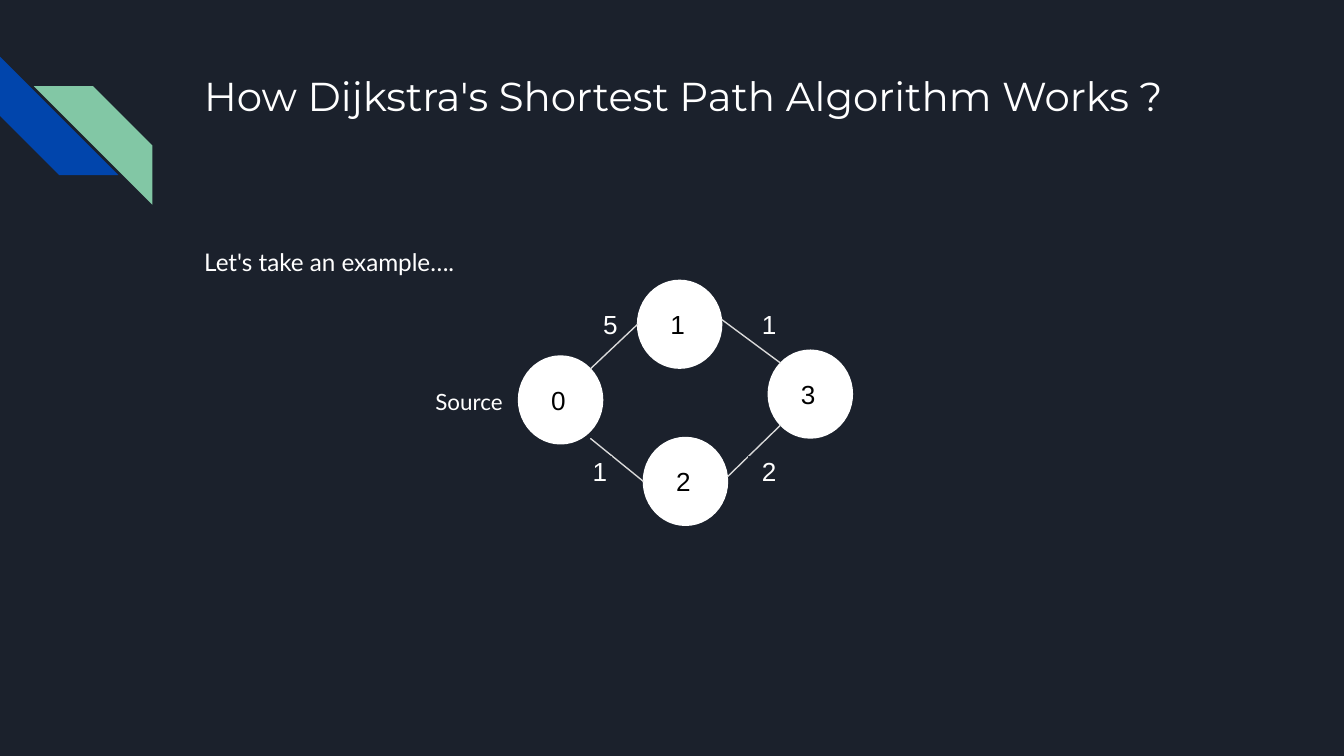
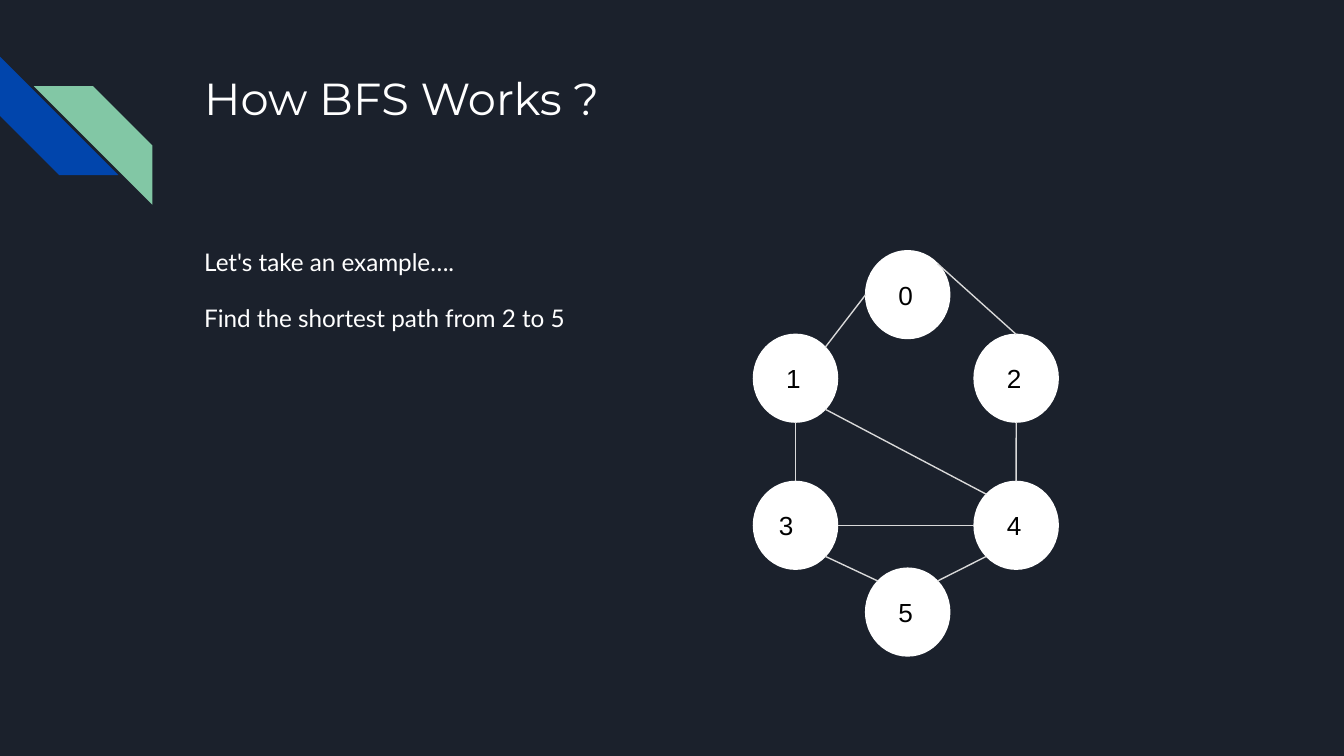
import math

import pptx
import pptx.dml.color
import pptx.enum.shapes
import pptx.enum.text
import pptx.util
from lxml import etree
from pptx.oxml.ns import qn

Cm, Pt = pptx.util.Cm, pptx.util.Pt
SHAPE = pptx.enum.shapes.MSO_SHAPE
ANCHOR = pptx.enum.text.MSO_ANCHOR

COLORS = {
    "night": "1B212C",
    "blue": "0145AC",
    "green": "82C7A5",
    "white": "FFFFFF",
    "black": "000000",
    "edge": "D9D9D9",
}
NODE_W, NODE_H = 1.59, 1.66
INSET = 0.25
# Eight points on a node's outline, as angles in degrees, clockwise from east
SITES = {name: 45 * i for i, name in
         enumerate(["e", "se", "s", "sw", "w", "nw", "n", "ne"])}


def rgb(name):
    return pptx.dml.color.RGBColor.from_string(COLORS[name])


def box(left, top, width, height):
    return Cm(left), Cm(top), Cm(width), Cm(height)


def outline_point(corner, site):
    angle = math.radians(SITES[site])
    return (corner[0] + NODE_W / 2 * (1 + math.cos(angle)),
            corner[1] + NODE_H / 2 * (1 + math.sin(angle)))


class Deck:
    def __init__(self):
        self.prs = pptx.Presentation()
        self.prs.slide_width, self.prs.slide_height = Cm(25.4), Cm(14.29)
        self.layout = self.prs.slide_layouts[1]
        background = self.prs.slide_master.background.fill
        background.solid()
        background.fore_color.rgb = rgb("night")
        self.slide = None

    def new_slide(self, title, title_size, lines):
        first = self.slide is None
        self.slide = self.prs.slides.add_slide(self.layout)
        if first:
            self.corner_stripes()
        heading, body = self.slide.placeholders
        self.place(heading, box(3.61, 1.09, 19.56, 2.54))
        self.set_text(heading, [title], "Montserrat", title_size)
        self.place(body, box(3.61, 4.34, 19.56, 8.08))
        self.set_text(body, lines, "Lato", 13)
        for i, paragraph in enumerate(body.text_frame.paragraphs):
            paragraph.line_spacing = 1.15
            paragraph.space_before = Pt(12 if i else 0)
            properties = paragraph._p.get_or_add_pPr()
            properties.set("marL", "0")
            properties.set("indent", "0")
            bullet = etree.Element(qn("a:buNone"))
            properties.find(qn("a:defRPr")).addprevious(bullet)

    def corner_stripes(self):
        """Draw the two stripes once and move them to the shared layout."""
        stripes = [(0, 1.07, 270, "blue"), (0.64, 1.63, 90, "green")]
        for i, (left, top, turn, color) in enumerate(stripes):
            stripe = self.shape(SHAPE.DIAGONAL_STRIPE,
                                box(left, top, 2.24, 2.24), color)
            stripe.rotation = turn
            stripe.element.nvSpPr.cNvPr.id = 20 + i
            self.layout.shapes.element.insert(2 + i, stripe.element)

    def place(self, placeholder, area):
        (placeholder.left, placeholder.top,
         placeholder.width, placeholder.height) = area

    def shape(self, kind, area, fill=None, line=None):
        shape = self.slide.shapes.add_shape(kind, *area)
        shape.shadow.inherit = False
        if fill:
            shape.fill.solid()
            shape.fill.fore_color.rgb = rgb(fill)
        else:
            shape.fill.background()
        if line:
            shape.line.color.rgb = rgb(line)
            shape.line.width = Pt(0.75)
        else:
            shape.line.fill.background()
        return shape

    def set_text(self, shape, lines, font, size, color="white",
                 anchor=ANCHOR.TOP):
        frame = shape.text_frame
        frame.text = "\n".join(lines)
        frame.word_wrap = True
        frame.auto_size = pptx.enum.text.MSO_AUTO_SIZE.NONE
        frame.vertical_anchor = anchor
        frame.margin_left = frame.margin_right = Cm(INSET)
        frame.margin_top = frame.margin_bottom = Cm(INSET)
        for paragraph in frame.paragraphs:
            paragraph.alignment = pptx.enum.text.PP_ALIGN.LEFT
            paragraph.font.name = font
            paragraph.font.size = Pt(size)
            paragraph.font.color.rgb = rgb(color)

    def node(self, label, corner):
        circle = self.shape(SHAPE.OVAL, box(*corner, NODE_W, NODE_H),
                            "white", "white")
        self.set_text(circle, [label], "Arial", 14, "black", ANCHOR.MIDDLE)

    def edge(self, start, end):
        line = self.slide.shapes.add_connector(
            pptx.enum.shapes.MSO_CONNECTOR.STRAIGHT,
            *(Cm(value) for value in (*start, *end)))
        line.line.color.rgb = rgb("edge")
        line.line.width = Pt(0.75)
        etree.SubElement(line.element.spPr, qn("a:effectLst"))

    def graph(self, nodes, edges):
        """Nodes map labels to corners; an edge may shift its start down."""
        for label, corner in nodes.items():
            self.node(label, corner)
        corners = {label.strip(): corner for label, corner in nodes.items()}
        for origin, out, target, into, *shift in edges:
            x, y = outline_point(corners[origin], out)
            self.edge((x, y + sum(shift)),
                      outline_point(corners[target], into))

    def weight(self, value, left, top, width):
        label = self.shape(SHAPE.RECTANGLE, box(left, top, width, 0.51),
                           line="night")
        self.set_text(label, [value], "Arial", 14, anchor=ANCHOR.MIDDLE)

    def caption(self, text, area):
        self.set_text(self.slide.shapes.add_textbox(*area), [text], "Lato", 12)


def dijkstra_slide(deck):
    deck.new_slide("How Dijkstra's Shortest Path Algorithm Works ?", 21.6,
                   ["Let's take an example…."])
    deck.graph(
        {" 0": (9.8, 6.73), " 3": (14.52, 6.62),
         " 2": (12.16, 8.27), " 1": (12.05, 5.3)},
        [("0", "ne", "1", "w"), ("1", "e", "3", "nw", -0.09),
         ("2", "e", "3", "sw", -0.09), ("0", "se", "2", "w", 0.14)])
    # Edge weights
    upper, lower = 5.87, 8.64
    deck.weight("5", 11.15, upper, 0.53)
    deck.weight("1", 14.15, upper, 0.61)
    deck.weight("1", 10.95, lower, 0.61)
    deck.weight("2", 14.15, lower, 0.61)
    deck.caption("Source", box(7.98, 7.09, 1.83, 1.02))


def bfs_slide(deck):
    deck.new_slide("How BFS Works ?", 24,
                   ["Let's take an example….",
                    "Find the shortest path from 2 to 5"])
    left, middle, right = 14.24, 16.36, 18.41
    upper, lower = 6.32, 9.1
    deck.graph(
        {" 0": (middle, 4.74), " 2": (right, upper), " 1": (left, upper),
         "3": (left, lower), " 4": (right, lower), " 5": (middle, 10.74)},
        [("0", "ne", "2", "n"), ("1", "ne", "0", "w"),
         ("3", "n", "1", "s"), ("3", "se", "5", "nw"),
         ("5", "ne", "4", "sw"), ("4", "n", "2", "s"),
         ("4", "nw", "1", "se"), ("3", "e", "4", "w")])


def main():
    deck = Deck()
    dijkstra_slide(deck)
    bfs_slide(deck)
    deck.prs.save("out.pptx")


if __name__ == "__main__":
    main()
